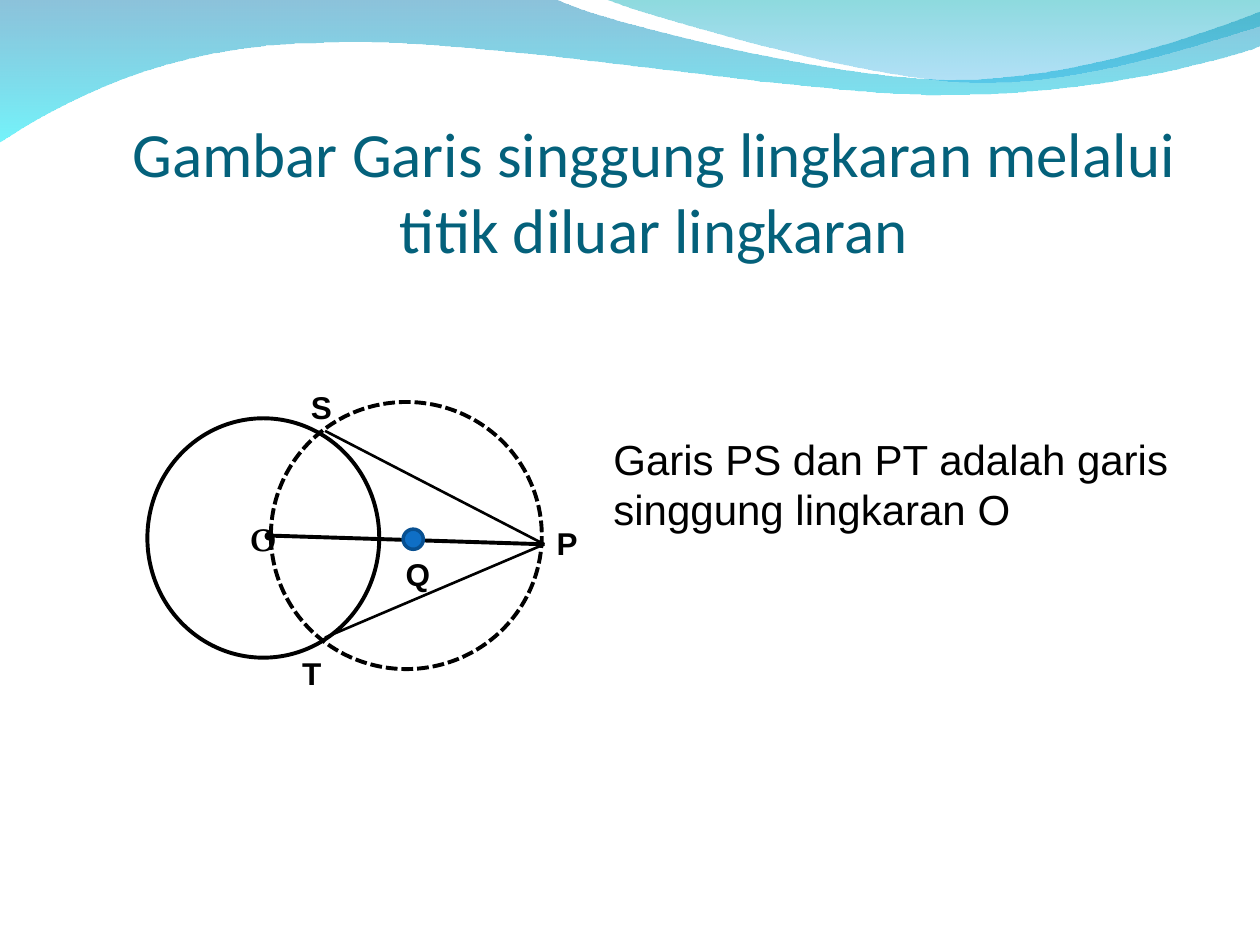
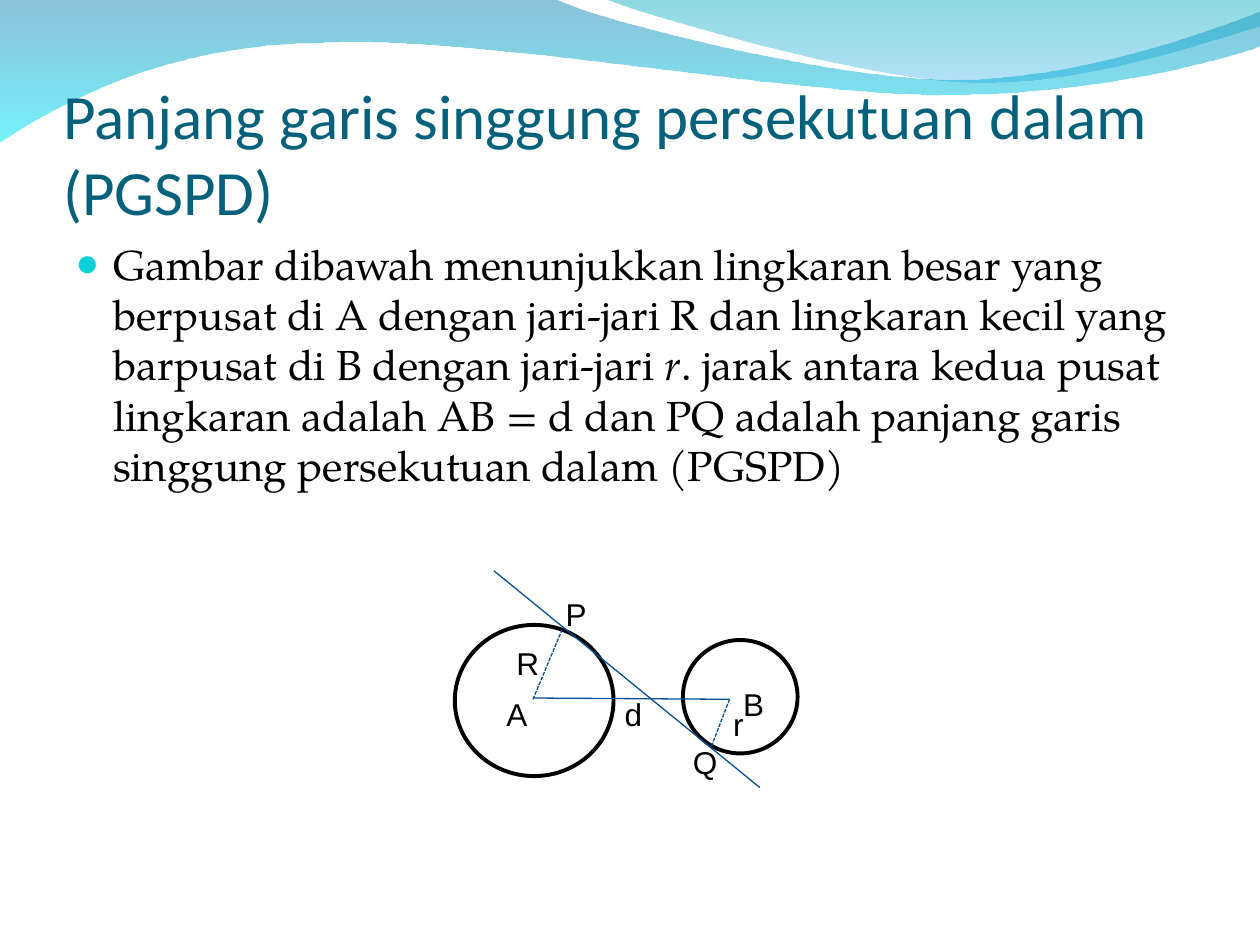
"""Build two slides on tangent lines of circles."""
import pptx
import pptx.dml.color
import pptx.enum.dml
import pptx.enum.shapes
import pptx.enum.text
import pptx.oxml
import pptx.oxml.ns
import pptx.util

PIXEL = 9144
BLACK, TITLE_BLUE, LINE_BLUE = "000000", "04617B", "065093"
SANS, SERIF, TITLE_FONT = "Arial", "TeX Gyre Pagella", "Calibri"
DASHED = pptx.enum.dml.MSO_LINE.SQUARE_DOT
ALIGN = pptx.enum.text.PP_ALIGN
ANCHOR = pptx.enum.text.MSO_ANCHOR
AUTO = pptx.enum.text.MSO_AUTO_SIZE

LEFT_WAVE = [
    (0, -1), (440, -1),
    (476, 17, 664, 63, 758, 63), (853, 63, 958, 26, 1000, 9),
    (1001, 36),
    (983, 44, 870, 76, 746, 75), (622, 75, 382, 28, 257, 34),
    (129, 35, 46, 83, -1, 113), (0, -1),
]
RIGHT_WAVE = [
    (479, -1),
    (509, 11, 682, 62, 769, 65), (856, 69, 961, 32, 1000, 21),
    (1000, 0), (479, -1),
]


def px(value):
    return round(value * PIXEL)


def color(code):
    return pptx.dml.color.RGBColor.from_string(code)


def apply(target, **formats):
    for name, value in formats.items():
        setattr(target, name, value)


def pairs(step):
    return list(zip(step[::2], step[1::2]))


class SlideBuilder:
    def __init__(self, deck):
        self.deck = deck
        self.layout = deck.slide_layouts[5]
        for holder in list(self.layout.placeholders)[1:]:
            self.layout.shapes.element.remove(holder.element)
        self.page = None
        self.shapes = None

    def start(self, title, area, align):
        self.page = self.deck.slides.add_slide(self.layout)
        self.shapes = self.page.shapes
        box = self.page.shapes.title
        self.place(box, area)
        apply(box.text_frame, word_wrap=True, auto_size=AUTO.NONE, vertical_anchor=ANCHOR.BOTTOM,
              margin_left=0, margin_top=px(5), margin_right=0, margin_bottom=0)
        para = box.text_frame.paragraphs[0]
        para.alignment = align
        self.span(para, title, 36, TITLE_FONT, TITLE_BLUE)

    def group(self):
        self.shapes = self.page.shapes.add_group_shape().shapes

    def ungroup(self):
        self.shapes = self.page.shapes

    def place(self, shape, area):
        apply(shape, **dict(zip(("left", "top", "width", "height"), map(px, area))))

    def span(self, para, text, size, font, code=BLACK, **formats):
        span = para.add_run()
        span.text = text
        apply(span.font, size=pptx.util.Pt(size), name=font, **formats)
        span.font.color.rgb = color(code)

    def wave(self, steps, stops, shape_id):
        points = [point for step in steps for point in pairs(step)]
        builder = self.page.shapes.build_freeform(*points[0], scale=PIXEL)
        builder.add_line_segments(points[1:], close=True)
        shape = builder.convert_to_shape()
        self.bend(shape, steps)
        shape.shadow.inherit = False
        shape.line.fill.background()
        shape.fill.gradient()
        shape.fill.gradient_angle = 270
        for stop, (code, opacity) in zip(shape.fill.gradient_stops, stops):
            stop.color.rgb = color(code)
        tints = shape.element.iter(pptx.oxml.ns.qn("a:srgbClr"))
        for tint, (code, opacity) in zip(list(tints), stops):
            tint.append(self.xml(f'<a:alpha %s val="{opacity * 1000}"/>'))
        shape.element.xpath(".//p:cNvPr")[0].set("id", str(shape_id))
        self.layout.shapes.element.append(shape.element)

    def bend(self, shape, steps):
        segments = iter(shape.element.xpath(".//a:lnTo"))
        for step in steps[1:]:
            parts = [next(segments) for point in pairs(step)]
            if len(parts) == 3:
                curve = self.xml("<a:cubicBezTo %s/>")
                parts[0].addprevious(curve)
                for part in parts:
                    curve.append(part[0])
                    part.getparent().remove(part)

    def xml(self, markup):
        return pptx.oxml.parse_xml(markup % pptx.oxml.ns.nsdecls("a"))

    def stroke(self, line, code, width, dash=None):
        line.color.rgb = color(code)
        apply(line, width=pptx.util.Pt(width), dash_style=dash)

    def circle(self, area, fill=None, stroke=None):
        shape = self.shapes.add_shape(pptx.enum.shapes.MSO_SHAPE.OVAL, *map(px, area))
        shape.shadow.inherit = False
        if fill:
            shape.fill.solid()
            shape.fill.fore_color.rgb = color(fill)
        else:
            shape.fill.background()
        if stroke:
            self.stroke(shape.line, *stroke)
        else:
            shape.line.fill.background()

    def line(self, ends, *stroke):
        shape = self.shapes.add_connector(
            pptx.enum.shapes.MSO_CONNECTOR.STRAIGHT, *map(px, ends))
        self.stroke(shape.line, *stroke)
        shape.element.spPr.append(self.xml("<a:effectLst %s/>"))

    def text(self, area, spans, wrap=True, bullet=None):
        box = self.shapes.add_textbox(*map(px, area))
        apply(box.text_frame, word_wrap=wrap,
              auto_size=AUTO.NONE if bullet else AUTO.SHAPE_TO_FIT_TEXT)
        para = box.text_frame.paragraphs[0]
        if bullet:
            self.bullet(para, bullet)
        for text, size, font, formats in spans:
            self.span(para, text, size, font, **formats)

    def bullet(self, para, code):
        properties = para._p.get_or_add_pPr()
        properties.set("marL", str(px(30)))
        properties.set("indent", str(px(-30)))
        for markup in (f'<a:buClr %s><a:srgbClr val="{code}"/></a:buClr>',
                       '<a:buSzPct %s val="95000"/>',
                       f'<a:buFont %s typeface="{SANS}"/>',
                       '<a:buChar %s char="●"/>'):
            properties.append(self.xml(markup))

    def labels(self, places, bold):
        for name, left, top, width in places:
            self.text((left, top, width, 40), [(name, 18, SANS, {"bold": bold})], wrap=False)


def build_outer_point(slide):
    slide.start("Gambar Garis singgung lingkaran melalui titik diluar lingkaran",
                (69, 70, 900, 141), ALIGN.CENTER)
    slide.wave(LEFT_WAVE, [("0079AF", 45), ("00EBF8", 55)], 21)
    slide.wave(RIGHT_WAVE, [("00ADB6", 45), ("009BE5", 30)], 22)
    slide.labels([("S", 237, 303, 36)], True)
    slide.group()
    point_p = (432, 432)
    slide.line((212, 425, *point_p), BLACK, 2.25)
    slide.text((191, 408, 18, 40), [("O", 18, SERIF, {"bold": True})])
    slide.circle((117, 332, 184, 190), stroke=(BLACK, 2.25))
    slide.circle((210, 422, 7, 7), fill=BLACK)
    slide.labels([("P", 432, 411, 36)], True)
    slide.circle((320, 420, 16, 16), fill="0F6FC6", stroke=("085091", 2))
    slide.labels([("Q", 312, 436, 39)], True)
    slide.circle((215, 319, 215, 212), stroke=(BLACK, 2.25, DASHED))
    for tangent_top in (342, 506):
        slide.line((258, tangent_top, *point_p), BLACK, 1.5)
    slide.labels([("T", 230, 514, 35)], True)
    slide.ungroup()
    slide.text((477, 339, 500, 90),
               [("Garis PS dan PT adalah garis singgung lingkaran O", 24, SANS, {})])


def build_inner_tangent(slide):
    slide.start("Panjang garis singgung persekutuan dalam (PGSPD)",
                (50, 102, 900, 79), ALIGN.LEFT)
    slide.text((50, 184, 900, 254), [
        ("Gambar dibawah menunjukkan lingkaran besar yang berpusat di A dengan "
         "jari-jari R dan lingkaran kecil yang barpusat di B dengan jari-jari ",
         24, SERIF, {}),
        ("r", 24, SERIF, {"italic": True}),
        (". jarak antara kedua pusat lingkaran adalah AB = d dan PQ adalah "
         "panjang garis singgung persekutuan dalam (PGSPD)", 24, SERIF, {}),
    ], bullet="0BD0D9")
    slide.group()
    for area in ((361, 496, 126, 120), (542, 508, 91, 90)):
        slide.circle(area, stroke=(BLACK, 2.25))
    center_a, center_b = (423, 555), (579, 555)
    slide.line((392, 453, 603, 625), LINE_BLUE, 0.75)
    slide.line((423, 554, *center_b), LINE_BLUE, 0.75)
    slide.line((*center_a, 446, 500), LINE_BLUE, 0.75, DASHED)
    slide.line((*center_b, 564, 594), LINE_BLUE, 0.75, DASHED)
    slide.labels([("A", 392, 547, 36), ("B", 580, 539, 36), ("Q", 540, 585, 39),
                  ("d", 486, 547, 34), ("P", 439, 467, 36), ("R", 400, 506, 38),
                  ("r", 572, 555, 28)], False)


def main():
    deck = pptx.Presentation()
    apply(deck, slide_width=px(1000), slide_height=px(750))
    slide = SlideBuilder(deck)
    build_outer_point(slide)
    build_inner_tangent(slide)
    deck.save("out.pptx")


if __name__ == "__main__":
    main()
